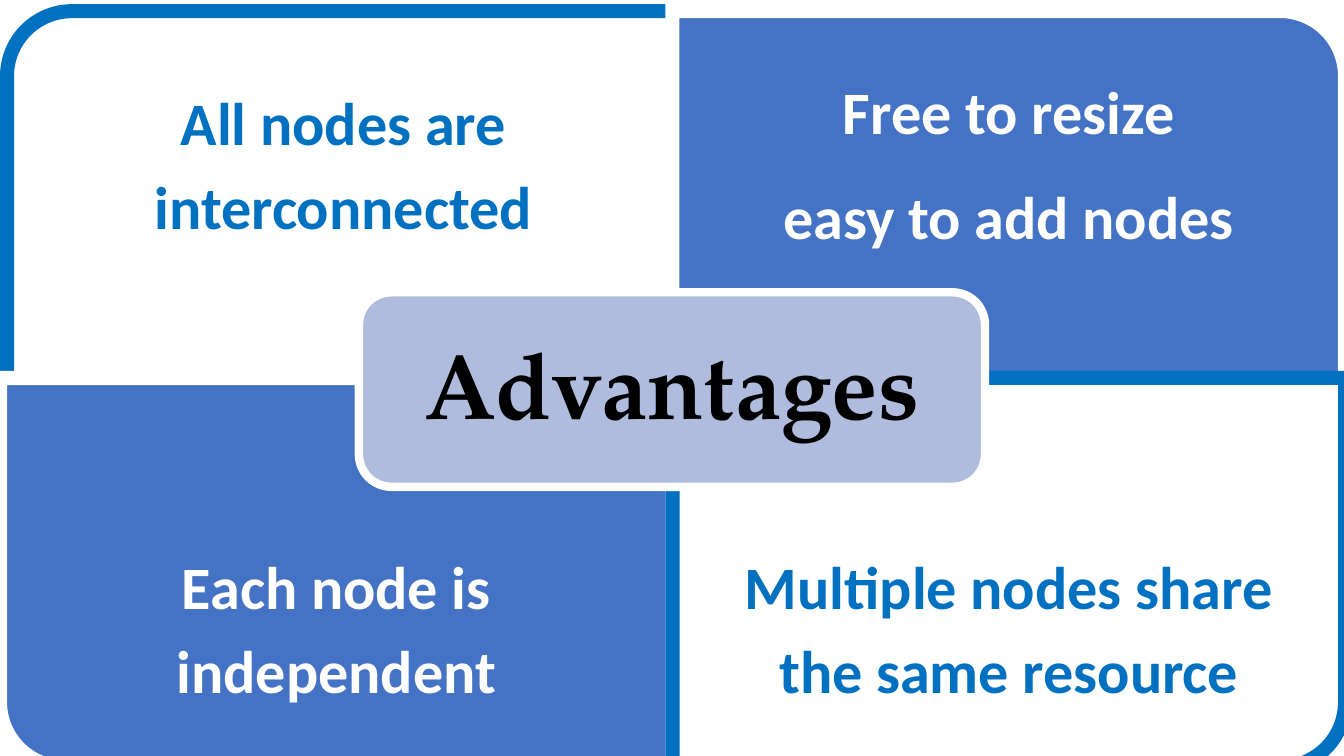
from lxml import etree
from pptx import Presentation
from pptx.dml.color import RGBColor
from pptx.enum import shapes, text
from pptx.oxml.ns import qn
from pptx.util import Inches, Pt

# Content: left, top, rotation, text top, filled look, lines of text
PANELS = [
    (0.07, 0.11, 270, 0.11, "open", ["All nodes are interconnected"]),
    (6.67, 0.11, 0, 0.11, "solid", ["Free to resize", "easy to add nodes"]),
    (0, 3.75, 180, 4.72, "solid", ["Each node is independent"]),
    (6.67, 3.75, 90, 4.72, "white", ["Multiple nodes share the same resource"]),
]
TITLE = "Advantages"

THEME = {
    "looks": {  # fill, line, text
        "open": (None, "0070C0", "0070C0"),
        "solid": ("4472C4", "FFFFFF", "FFFFFF"),
        "white": ("FFFFFF", "0070C0", "0070C0"),
    },
    "badge": ("B0BCDE", "FFFFFF"),
    "panel_font": {"name": "Calibri", "size": Pt(43), "bold": True},
    "title_font": {"name": "TeX Gyre Pagella", "size": Pt(66), "bold": True},
    "title_color": "000000",
    "panel_line": 10,
    "badge_line": 6,
}
PANEL_WIDTH, PANEL_HEIGHT, TEXT_HEIGHT = 6.67, 3.86, 2.9
BADGE = (3.56, 2.9, 6.21, 1.93)
BADGE_INSET = 0.095


def set_values(target, values):
    for name, value in values.items():
        setattr(target, name, value)


def add_block(slide, preset, box, fill, line, width):
    block = slide.shapes.add_shape(preset, *map(Inches, box))
    block.shadow.inherit = False
    if fill:
        block.fill.solid()
        block.fill.fore_color.rgb = RGBColor.from_string(fill)
    else:
        block.fill.background()
    block.line.color.rgb = RGBColor.from_string(line)
    block.line.width = Pt(width)
    # Square outer corners
    outline = block.element.spPr.find(qn("a:ln"))
    etree.SubElement(outline, qn("a:miter"), lim="800000")
    return block


def write_text(shape, lines, font, color, inset, paragraph_format):
    frame = shape.text_frame
    margins = ("margin_left", "margin_top", "margin_right", "margin_bottom")
    set_values(frame, dict.fromkeys(margins, Inches(inset)))
    set_values(frame, {
        "word_wrap": True,
        "auto_size": text.MSO_AUTO_SIZE.NONE,
        "vertical_anchor": text.MSO_ANCHOR.MIDDLE,
    })
    frame.text = "\n".join(lines)
    for paragraph in frame.paragraphs:
        set_values(paragraph, {"alignment": text.PP_ALIGN.CENTER, **paragraph_format})
        run_font = paragraph.runs[0].font
        set_values(run_font, font)
        run_font.color.rgb = RGBColor.from_string(color)


def add_panel(slide, left, top, rotation, text_top, look, lines):
    fill, line, color = THEME["looks"][look]
    width, height = PANEL_WIDTH, PANEL_HEIGHT
    box_left, box_top = left, top
    if rotation % 180:  # a quarter turn swaps the sides around the centre
        shift = (width - height) / 2
        box_left, box_top = left + shift, top - shift
        width, height = height, width
    panel = add_block(slide, shapes.MSO_SHAPE.ROUND_1_RECTANGLE,
                      (box_left, box_top, width, height),
                      fill, line, THEME["panel_line"])
    panel.rotation = rotation
    label = slide.shapes.add_textbox(
        *map(Inches, (left, text_top, PANEL_WIDTH, TEXT_HEIGHT)))
    write_text(label, lines, THEME["panel_font"], color, 0.33,
               {"line_spacing": Pt(60), "space_after": Pt(15)})


def add_title(slide):
    add_block(slide, shapes.MSO_SHAPE.ROUNDED_RECTANGLE, BADGE,
              *THEME["badge"], THEME["badge_line"])
    left, top, width, height = BADGE
    title = slide.shapes.title
    set_values(title, {
        "left": Inches(left + BADGE_INSET),
        "top": Inches(top + BADGE_INSET),
        "width": Inches(width - 2 * BADGE_INSET),
        "height": Inches(height - 2 * BADGE_INSET),
    })
    write_text(title, [TITLE], THEME["title_font"], THEME["title_color"], 0.28,
               {"line_spacing": 0.9, "space_before": Pt(0), "space_after": Pt(23)})
    # Bring the title in front of its badge
    title.element.getparent().append(title.element)


def main():
    presentation = Presentation()
    presentation.slide_width = Inches(13.33)
    presentation.slide_height = Inches(7.5)
    slide = presentation.slides.add_slide(presentation.slide_layouts[5])
    for panel in PANELS:
        add_panel(slide, *panel)
    add_title(slide)
    presentation.save("out.pptx")


if __name__ == "__main__":
    main()
